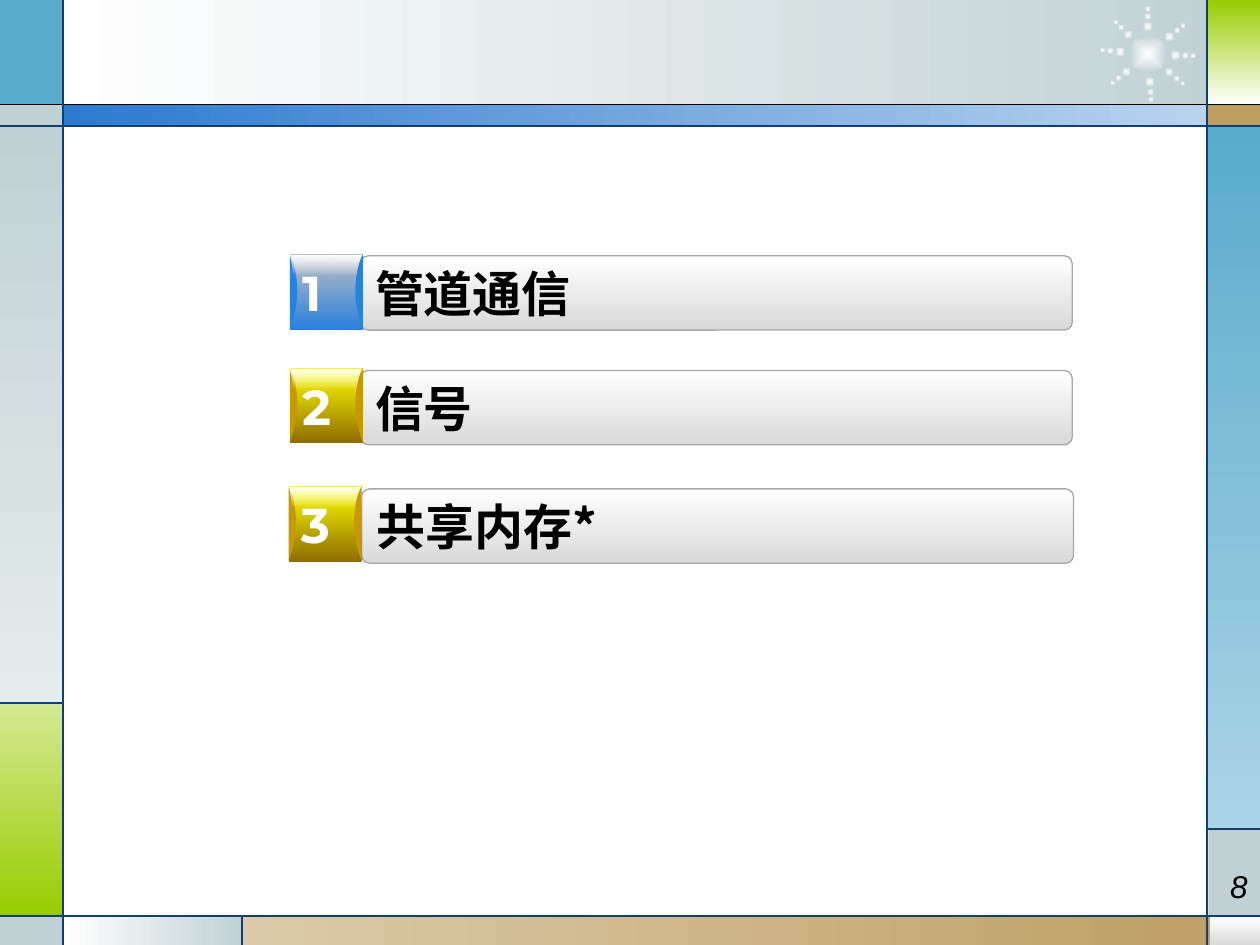
from dataclasses import dataclass
from math import cos, radians, sin

from lxml import etree
from pptx import Presentation
from pptx.dml.color import RGBColor
from pptx.enum import shapes, text
from pptx.oxml.ns import qn
from pptx.util import Inches, Pt


@dataclass(frozen=True)
class Theme:
    white: str = "FFFFFF"
    black: str = "000000"
    mist: str = "C1D1D3"
    pale: str = "E5ECEC"
    teal: str = "5AABCC"
    sky: str = "AAD4E5"
    lime: str = "99CC00"
    leaf: str = "D4E993"
    sand: str = "DBCAA9"
    tan: str = "BD9E61"
    deep: str = "2D7ACF"
    ice: str = "B9D3EF"
    navy: str = "113F71"
    silver: str = "D8D8D8"
    gray: str = "D9D9D9"
    edge: str = "A6A6A6"
    blue: tuple = ("2880DF", "BFBFBF", "2880DF")
    gold: tuple = ("8E6C00", "FFFF00", "C89800")
    label: int = 28
    page: int = 18
    rule: float = 0.75


T = Theme()
MARK = shapes.MSO_SHAPE
RIGHT, DOWN, UP = 0, 270, 90


def rgb(code):
    return RGBColor.from_string(code)


def paint(shape, *hues, turn=RIGHT):
    shape.shadow.inherit = False
    shape.line.fill.background()
    if len(hues) == 1:
        shape.fill.solid()
        shape.fill.fore_color.rgb = rgb(hues[0])
        return
    shape.fill.gradient()
    for stop, hue in zip(shape.fill.gradient_stops, hues):
        stop.color.rgb = rgb(hue)
    shape.fill.gradient_angle = turn


def block(parent, kind, x, y, w, h, *hues, turn=RIGHT):
    shape = parent.add_shape(kind, Inches(x), Inches(y), Inches(w), Inches(h))
    paint(shape, *hues, turn=turn)
    return shape


def rule(parent, x1, y1, x2, y2, hue=T.navy):
    line = parent.add_connector(
        shapes.MSO_CONNECTOR.STRAIGHT, Inches(x1), Inches(y1), Inches(x2), Inches(y2))
    line.line.color.rgb = rgb(hue)
    line.line.width = Pt(T.rule)
    etree.SubElement(line._element.spPr, qn("a:effectLst"))


def write(shape, words, size, font, hue, bold=False, italic=False, align="LEFT", wrap=False):
    frame = shape.text_frame
    frame.word_wrap = wrap
    frame.text = words
    para = frame.paragraphs[0]
    para.alignment = getattr(text.PP_ALIGN, align)
    run = para.runs[0]
    run.font.size = Pt(size)
    run.font.bold, run.font.italic = bold, italic
    run.font.color.rgb = rgb(hue)
    run.font.name = font
    etree.SubElement(run._r.rPr, qn("a:ea"), typeface=font)


def outline(parent, x, y, start, *steps):
    def spot(point):
        return Inches(x + point[0]), Inches(y + point[1])

    pen = parent.build_freeform(*spot(start))
    pen.add_line_segments([spot(point) for step in steps for point in step], close=False)
    shape = pen.convert_to_shape()
    lines = iter(list(shape._element.iter(qn("a:lnTo"))))
    for step in steps:
        first, *rest = [next(lines) for _ in step]
        if rest:
            first.tag = qn("a:cubicBezTo")
            for line in rest:
                first.append(line[0])
                line.getparent().remove(line)
    return shape


def dot(parent, x, y, size, turn):
    shape = block(parent, MARK.OVAL, x - size / 2, y - size / 2, size, size,
                  T.white, T.mist)
    shape.rotation = turn
    grad = shape._element.spPr.find(qn("a:gradFill"))
    glow = etree.Element(qn("a:path"), path="rect")
    half = "50000"
    etree.SubElement(glow, qn("a:fillToRect"), l=half, t=half, r=half, b=half)
    grad.replace(grad.find(qn("a:lin")), glow)


def star(parent, x, y):
    group = parent.add_group_shape().shapes
    dot(group, x, y, 0.3, 2.5)
    for angle in (40, 2, 321, 86, 270, 225, 185, 141):
        way = radians(angle)
        for reach, size in ((0.3, 0.05), (0.36, 0.04), (0.22, 0.07)):
            dot(group, x + reach * cos(way), y + reach * sin(way), size, (angle - 37) % 360)


def frame(parent):
    panels = (
        (0.5, 0, 9.27, 0.84, RIGHT, T.white, T.mist),
        (0, 0, 0.5, 0.84, RIGHT, T.teal),
        (0, 0.83, 0.5, 0.17, RIGHT, T.mist),
        (0, 1, 0.5, 4.58, DOWN, T.mist, T.pale),
        (0, 5.58, 0.5, 1.69, DOWN, T.leaf, T.lime),
        (0, 7.28, 0.5, 0.23, RIGHT, T.mist),
        (0.5, 7.27, 1.43, 0.24, RIGHT, T.white, T.mist),
        (1.92, 7.27, 8.08, 0.24, RIGHT, T.sand, T.tan),
        (9.6, 7.28, 0.4, 0.23, DOWN, T.white, T.silver),
        (9.59, 6.58, 0.41, 0.7, RIGHT, T.mist),
        (9.58, 1, 0.42, 5.58, DOWN, T.teal, T.sky),
        (9.58, 0.83, 0.42, 0.17, RIGHT, T.tan),
        (9.59, 0, 0.41, 0.83, DOWN, T.lime, T.white),
        (0.5, 0.83, 9.09, 0.17, RIGHT, T.deep, T.ice),
    )
    for x, y, w, h, turn, *hues in panels:
        block(parent, MARK.RECTANGLE, x, y, w, h, *hues, turn=turn)
    star(parent, 9.11, 0.43)
    rule(parent, 0, 0.83, 10, 0.83, T.black)
    for y in (1, 7.27):
        rule(parent, 0, y, 10, y)
    for x in (0.5, 9.58):
        rule(parent, x, 0, x, 7.5)
    rule(parent, 0.5, 5.58, 0, 5.58)
    rule(parent, 1.92, 7.27, 1.92, 7.5)
    rule(parent, 9.58, 6.58, 10, 6.58)


def bar(parent, x, y, words):
    shape = block(parent, MARK.ROUNDED_RECTANGLE, x, y, 5.65, 0.59,
                  T.white, T.gray, turn=DOWN)
    shape.adjustments[0] = 0.107
    shape.line.color.rgb = rgb(T.edge)
    shape.line.width = Pt(T.rule)
    write(shape, words, T.label, "Noto Sans CJK SC", T.black, bold=True)


def flank(parent, x, y, way, hue):
    bend = 0.06 * way
    shape = outline(
        parent, x, y, (0, 0.59), [(0, 0)],
        [(bend / 2, 0.05), (bend, 0.16), (bend, 0.3)],
        [(bend, 0.4), (bend / 2, 0.51), (0, 0.59)])
    paint(shape, hue)


def shine(parent, x, y):
    shape = outline(
        parent, x, y, (0.01, 0.01), [(0.58, 0.01)],
        [(0.57, 0.06), (0.56, 0.11), (0.55, 0.16)], [(0.03, 0.16)],
        [(0.03, 0.11), (0.02, 0.06), (0.01, 0.01)])
    paint(shape, T.white, T.white, turn=DOWN)
    last = shape._element.spPr.findall(".//" + qn("a:srgbClr"))[-1]
    etree.SubElement(last, qn("a:alpha"), val="0")


def badge(parent, x, y, digit, hues):
    low, high, side = hues
    group = parent.add_group_shape().shapes
    face = block(group, MARK.RECTANGLE, x, y, 0.58, 0.6, low, high, turn=UP)
    write(face, digit, T.label, "Montserrat", T.white, bold=True)
    flank(group, x, y, 1, side)
    shine(group, x, y)
    flank(group, x + 0.58, y, -1, side)


def main():
    deck = Presentation()
    deck.slide_width, deck.slide_height = Inches(10), Inches(7.5)
    parts = deck.slides.add_slide(deck.slide_layouts[6]).shapes
    frame(parts)
    page = parts.add_textbox(Inches(7.67), Inches(6.83), Inches(2.33), Inches(0.52))
    write(page, "8", T.page, "Arial", T.black, italic=True, align="RIGHT", wrap=True)
    rows = (
        ("管道通信", 2.86, 2.03, 2.3, 2.02, T.blue),
        ("信号", 2.86, 2.94, 2.3, 2.92, T.gold),
        ("共享内存*", 2.87, 3.88, 2.29, 3.86, T.gold),
    )
    for count, (words, x, y, left, top, hues) in enumerate(rows, 1):
        bar(parts, x, y, words)
        badge(parts, left, top, str(count), hues)
    deck.save("out.pptx")


if __name__ == "__main__":
    main()
